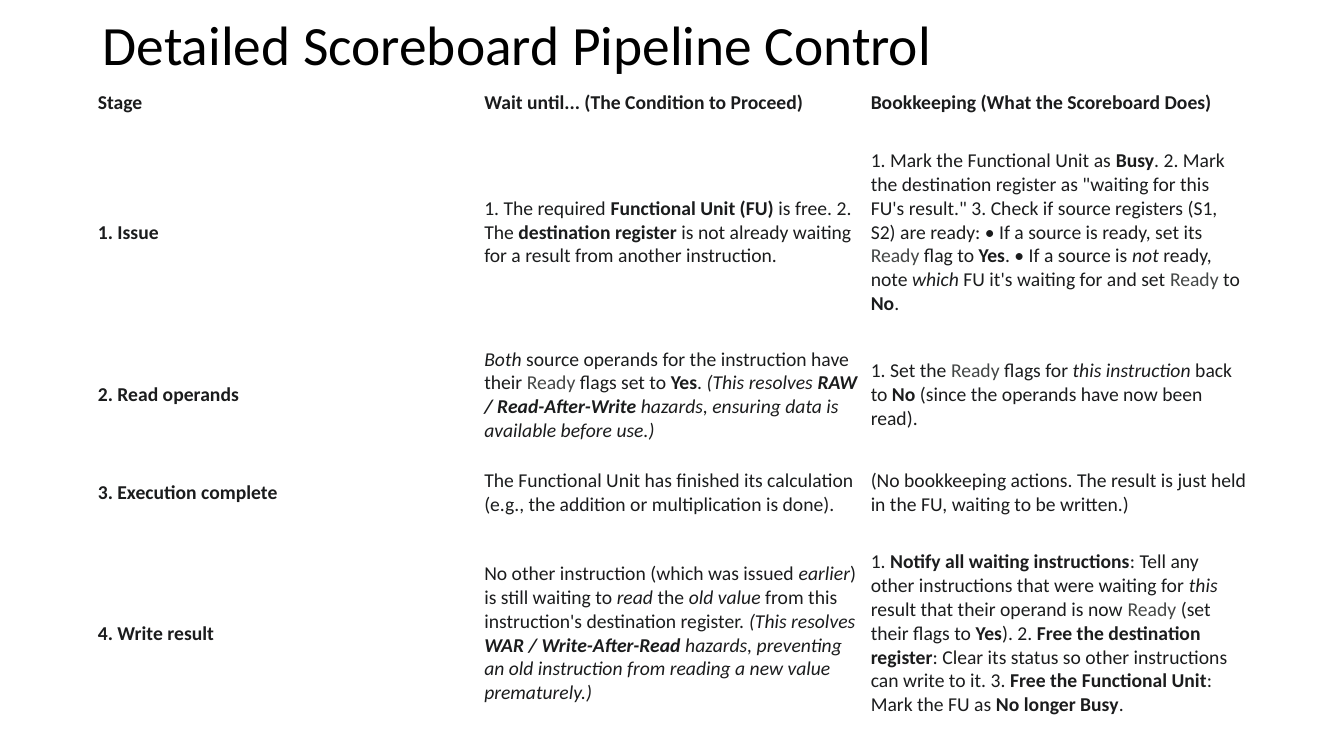
from lxml import etree
from pptx import Presentation
from pptx.dml.color import RGBColor
from pptx.enum.text import MSO_ANCHOR
from pptx.oxml.ns import qn
from pptx.util import Inches, Pt

MIDDLE = MSO_ANCHOR.MIDDLE
FONT = "Calibri"
COLORS = {"title": "000000", "body": "1B1C1D", "flag": "444746", "border": "FFFFFF"}

TITLE = "Detailed Scoreboard Pipeline Control"
BOLD, ITALIC, FLAG = "*", "_", "`"
ROWS = [
    (0.53, "*Stage*", "*Wait until... (The Condition to Proceed)*",
     "*Bookkeeping (What the Scoreboard Does)*"),
    (2.05, "*1. Issue*",
     "1. The required *Functional Unit (FU)* is free. 2. The *destination register* "
     "is not already waiting for a result from another instruction.",
     "1. Mark the Functional Unit as *Busy*. 2. Mark the destination register as "
     "\"waiting for this FU's result.\" 3. Check if source registers (S1, S2) are ready: "
     "• If a source is ready, set its `Ready` flag to *Yes*. "
     "• If a source is _not_ ready, note _which_ FU it's waiting for and set "
     "`Ready` to *No*."),
    (1.18, "*2. Read operands*",
     "_Both_ source operands for the instruction have their `Ready` flags set to *Yes*. "
     "_(This resolves *RAW / Read-After-Write* hazards, ensuring data is available "
     "before use.)_",
     "1. Set the `Ready` flags for _this instruction_ back to *No* "
     "(since the operands have now been read)."),
    (0.75, "*3. Execution complete*",
     "The Functional Unit has finished its calculation "
     "(e.g., the addition or multiplication is done).",
     "(No bookkeeping actions. The result is just held in the FU, waiting to be written.)"),
    (2.05, "*4. Write result*",
     "No other instruction (which was issued _earlier_) is still waiting to _read_ the "
     "_old value_ from this instruction's destination register. _(This resolves "
     "*WAR / Write-After-Read* hazards, preventing an old instruction from reading "
     "a new value prematurely.)_",
     "1. *Notify all waiting instructions*: Tell any other instructions that were waiting "
     "for _this_ result that their operand is now `Ready` (set their flags to *Yes*). "
     "2. *Free the destination register*: Clear its status so other instructions can "
     "write to it. 3. *Free the Functional Unit*: Mark the FU as *No longer Busy*."),
]

SLIDE_W, SLIDE_H = 13.33, 7.5
LEFT, WIDTH = 0.92, 11.5
TITLE_TOP, TITLE_H = 0.2, 0.55
TABLE_TOP = TITLE_TOP + TITLE_H
PAD_X, PAD_Y = 0.05, 0.03


def split_marks(text):
    active, chunk = set(), ""
    for ch in text:
        if ch in (BOLD, ITALIC, FLAG):
            if chunk:
                yield chunk, frozenset(active)
            active ^= {ch}
            chunk = ""
        else:
            chunk += ch
    if chunk:
        yield chunk, frozenset(active)


def write(p, text, size, color):
    for chunk, marks in split_marks(text):
        r = p.add_run()
        r.text = chunk
        r.font.name = FONT
        r.font.size = Pt(size)
        r.font.bold = BOLD in marks
        r.font.italic = ITALIC in marks
        r.font.color.rgb = RGBColor.from_string(COLORS["flag" if FLAG in marks else color])


def set_borders(cell, color, width):
    tcPr = cell._tc.get_or_add_tcPr()
    for i, side in enumerate(("lnL", "lnR", "lnT", "lnB")):
        ln = etree.Element(qn(f"a:{side}"), w=str(Pt(width)))
        fill = etree.SubElement(ln, qn("a:solidFill"))
        etree.SubElement(fill, qn("a:srgbClr"), val=color)
        tcPr.insert(i, ln)


def add_title(slide):
    sp = slide.shapes.add_textbox(
        Inches(LEFT), Inches(TITLE_TOP), Inches(WIDTH), Inches(TITLE_H))
    tf = sp.text_frame
    tf.word_wrap = True
    tf.vertical_anchor = MIDDLE
    p = tf.paragraphs[0]
    p.line_spacing = 0.9
    write(p, TITLE, 39.6, "title")


def add_stage_table(slide):
    n_cols = len(ROWS[0]) - 1
    height = sum(row[0] for row in ROWS)
    table = slide.shapes.add_table(
        len(ROWS), n_cols, Inches(LEFT), Inches(TABLE_TOP),
        Inches(WIDTH), Inches(height)).table
    table.first_row = table.horz_banding = False
    for col in table.columns:
        col.width = Inches(WIDTH / n_cols)
    for i, (row_h, *texts) in enumerate(ROWS):
        table.rows[i].height = Inches(row_h)
        for j, text in enumerate(texts):
            cell = table.cell(i, j)
            cell.vertical_anchor = MIDDLE
            cell.margin_left = cell.margin_right = Inches(PAD_X)
            cell.margin_top = cell.margin_bottom = Inches(PAD_Y)
            cell.fill.background()
            set_borders(cell, COLORS["border"], 0.6)
            write(cell.text_frame.paragraphs[0], text, 14, "body")


def main():
    prs = Presentation()
    prs.slide_width, prs.slide_height = Inches(SLIDE_W), Inches(SLIDE_H)
    slide = prs.slides.add_slide(prs.slide_layouts[6])
    add_title(slide)
    add_stage_table(slide)
    prs.save("out.pptx")


if __name__ == "__main__":
    main()
